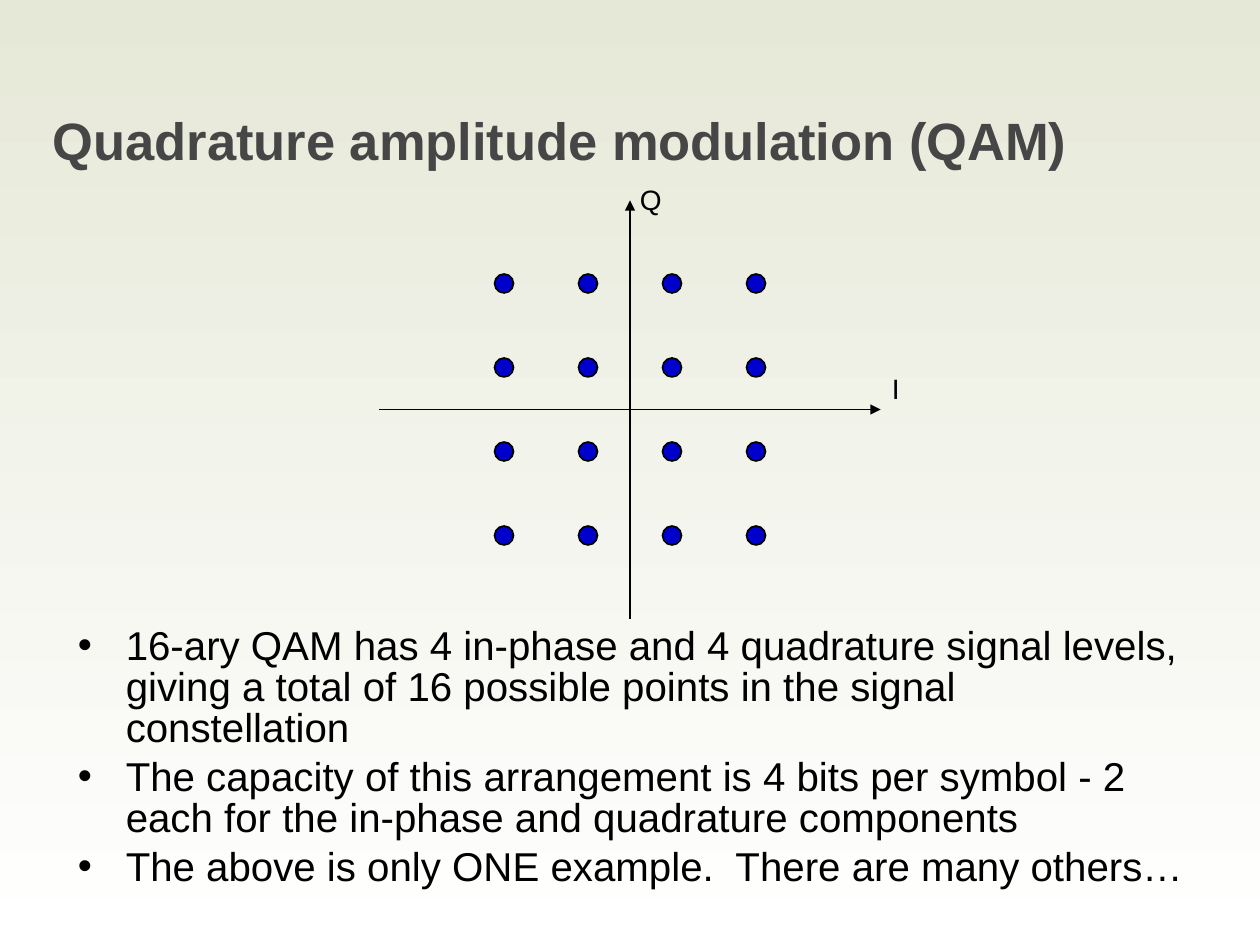
import pptx
import pptx.dml.color
import pptx.enum.dml
import pptx.enum.shapes
import pptx.enum.text
import pptx.oxml.ns
import pptx.util
from lxml import etree

Inches, Pt = pptx.util.Inches, pptx.util.Pt

COLORS = {"top": "E6E8D7", "bottom": "FFFFFF", "title": "464646",
          "ink": "000000", "point": "0000CC"}
TITLE = "Quadrature amplitude modulation (QAM)"
BULLETS = [
    "16-ary QAM has 4 in-phase and 4 quadrature signal levels, giving a total "
    "of 16 possible points in the signal constellation",
    "The capacity of this arrangement is 4 bits per symbol - 2 each for the "
    "in-phase and quadrature components",
    "The above is only ONE example.  There are many others\u2026",
]
CENTER_X, CENTER_Y = 5, 3.25
HALF_I, HALF_Q = 1.99, 1.66
LEVELS = (-3, -1, 1, 3)
HALF_STEP = 1 / 3
POINT_SIZE = 0.15
AXES = [
    ((CENTER_X, CENTER_Y + HALF_Q), (CENTER_X, CENTER_Y - HALF_Q)),
    ((CENTER_X - HALF_I, CENTER_Y), (CENTER_X + HALF_I, CENTER_Y)),
]
AXIS_LABELS = [("I", (6.98, 2.9, 0.26, 0.36)), ("Q", (4.98, 1.4, 0.37, 0.36))]


def rgb(name):
    return pptx.dml.color.RGBColor.from_string(COLORS[name])


def add_child(parent, tag, **attributes):
    return etree.SubElement(parent, pptx.oxml.ns.qn(tag), attributes)


def add_text(page, paragraphs, place, size, color="ink", bold=False, wrap=True,
             middle=False, bullet=False):
    box = page.shapes.add_textbox(*map(Inches, place))
    frame = box.text_frame
    frame.word_wrap = wrap
    anchors = pptx.enum.text.MSO_ANCHOR
    frame.vertical_anchor = anchors.MIDDLE if middle else anchors.TOP
    for index, text in enumerate(paragraphs):
        para = frame.add_paragraph() if index else frame.paragraphs[0]
        span = para.add_run()
        span.text = text
        span.font.name = "Arial"
        span.font.size = Pt(size)
        span.font.bold = bold
        span.font.color.rgb = rgb(color)
        if bullet:
            para.line_spacing = 0.85
            para.space_before = Pt(size * 0.2)
            properties = para._p.get_or_add_pPr()
            indent = Inches(0.38)
            properties.set("marL", str(indent))
            properties.set("indent", str(-indent))
            add_child(properties, "a:buFont", typeface="Arial")
            add_child(properties, "a:buChar", char="\u2022")


def add_axis(page, start, end):
    axis = page.shapes.add_connector(
        pptx.enum.shapes.MSO_CONNECTOR.STRAIGHT, *map(Inches, start + end))
    axis.line.color.rgb = rgb("ink")
    axis.line.width = Pt(1)
    add_child(axis.line._get_or_add_ln(), "a:tailEnd", type="triangle")
    add_child(axis._element.spPr, "a:effectLst")


def add_point(page, level_i, level_q):
    left = CENTER_X + level_i * HALF_STEP - POINT_SIZE / 2
    top = CENTER_Y + level_q * HALF_STEP - POINT_SIZE / 2
    point = page.shapes.add_shape(
        pptx.enum.shapes.MSO_SHAPE.OVAL,
        *map(Inches, (left, top, POINT_SIZE, POINT_SIZE)))
    point.shadow.inherit = False
    point.fill.solid()
    point.fill.fore_color.rgb = rgb("point")
    point.line.color.rgb = rgb("ink")
    point.line.width = Pt(1)


deck = pptx.Presentation()
deck.slide_width, deck.slide_height = Inches(10), Inches(7.5)
page = deck.slides.add_slide(deck.slide_layouts[6])

backdrop = page.background.fill
backdrop.gradient()
backdrop.gradient_angle = 270
for stop, name, position in zip(backdrop.gradient_stops, ("top", "bottom"), (0, 1)):
    stop.color.rgb = rgb(name)
    stop.position = position

add_text(page, [TITLE], (0.32, 0.66, 9.22, 0.89), 30, color="title", bold=True,
         middle=True)
add_text(page, BULLETS, (0.52, 4.93, 9.03, 1.17), 23, bullet=True)
for level_q in LEVELS:
    for level_i in LEVELS:
        add_point(page, level_i, level_q)
for start, end in AXES:
    add_axis(page, start, end)
for label, place in AXIS_LABELS:
    add_text(page, [label], place, 16, wrap=False)

deck.save("out.pptx")
